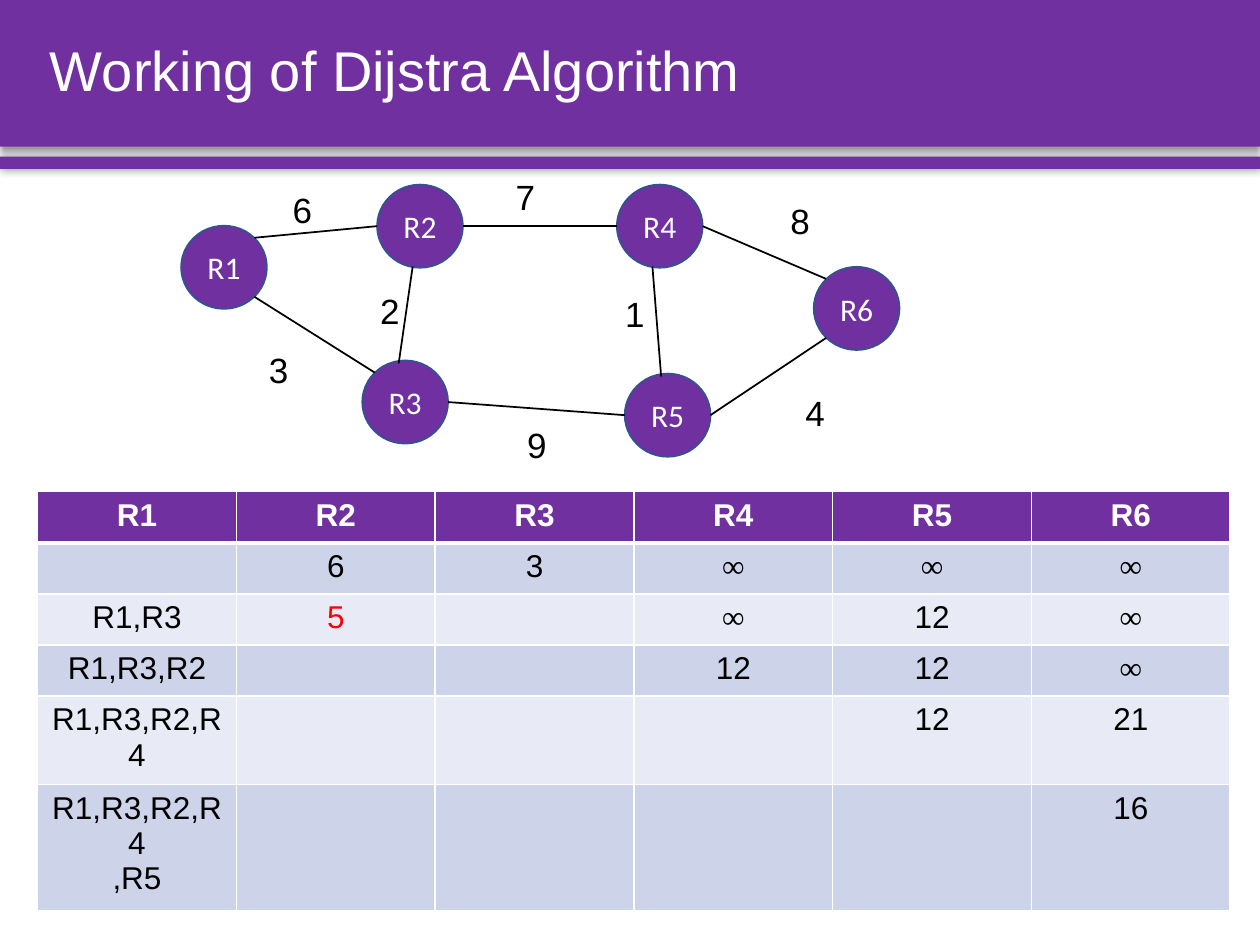
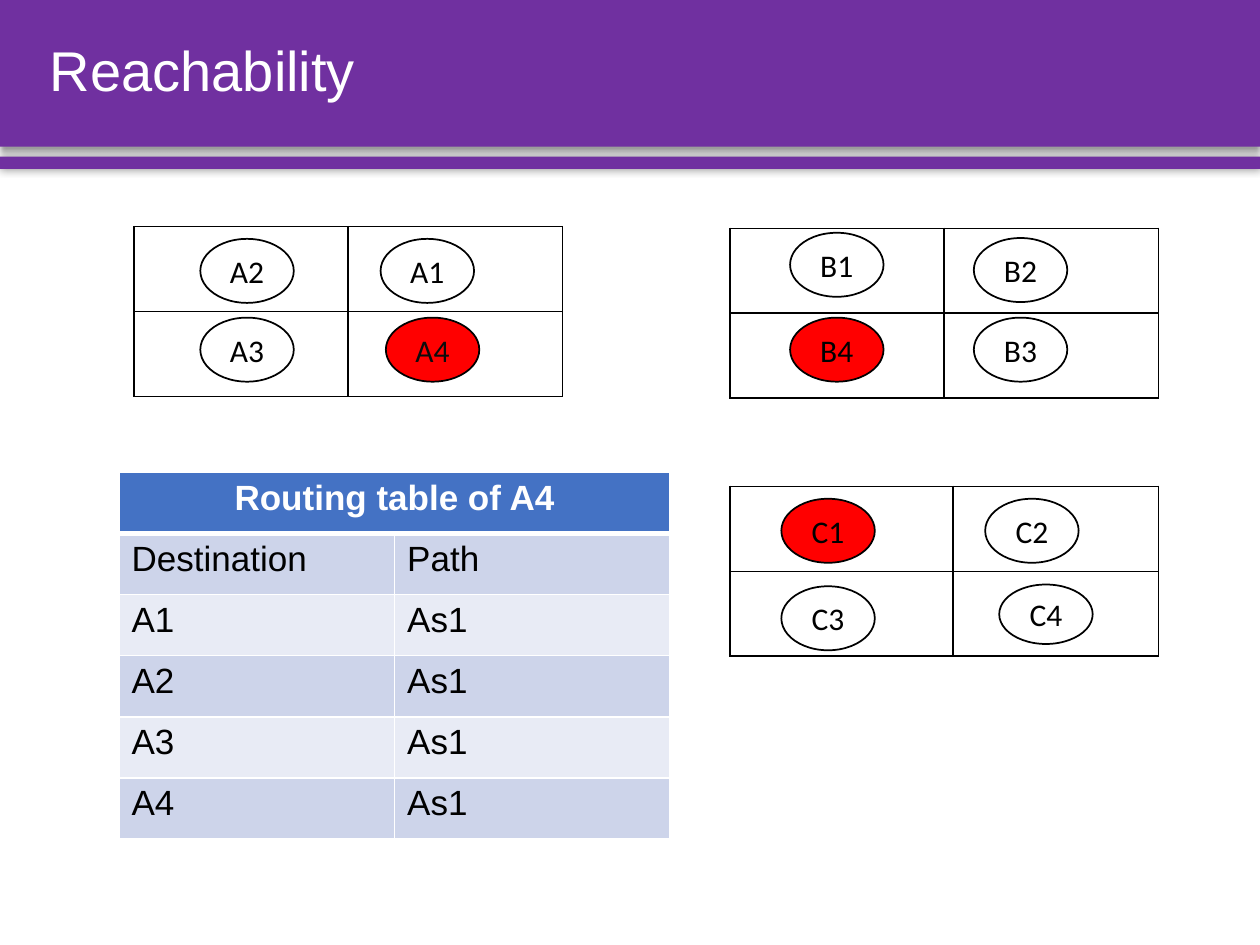
from lxml import etree
from pptx import Presentation
from pptx.dml.color import RGBColor
from pptx.enum.shapes import MSO_CONNECTOR, MSO_SHAPE
from pptx.enum.text import MSO_ANCHOR, PP_ALIGN
from pptx.oxml import parse_xml
from pptx.oxml.ns import nsdecls, qn
from pptx.util import Pt

RECT = MSO_SHAPE.RECTANGLE
CIRCLE = MSO_SHAPE.FLOWCHART_CONNECTOR
STRAIGHT = MSO_CONNECTOR.STRAIGHT
MIDDLE = MSO_ANCHOR.MIDDLE
LEFT, CENTER = PP_ALIGN.LEFT, PP_ALIGN.CENTER

PURPLE, BLUE, NAVY = "7030A0", "4472C4", "31538F"
WHITE, BLACK, RED = "FFFFFF", "000000", "FF0000"
BANDS = ("CDD4EA", "E8EBF5")
SANS, ROUND, SERIF = "Arial", "Calibri", "Times New Roman"

SLIDE_W, SLIDE_H = 720, 540
NODE_W, NODE_H = 49, 47.5
HOST_W, HOST_H = 53.4, 36.6
GRID_W, GRID_ROW = 245, 48.5

WEST, EAST = (-1, 0), (1, 0)
NORTH_EAST, SOUTH_EAST = (0.71, -0.71), (0.71, 0.71)
NORTH_WEST, SOUTH_WEST = (-0.71, -0.71), (-0.71, 0.71)
NORTH, SOUTH = (-0.15, -0.93), (-0.17, 0.97)

ROUTERS = {
    "R1": (103.5, 129), "R2": (215.5, 105.5), "R4": (352.5, 105.5),
    "R6": (465, 152.5), "R3": (207, 206), "R5": (357, 213.5),
}
LINKS = [
    ("R1", NORTH_EAST, "R2", WEST, "6", (152.5, 106)),
    ("R1", SOUTH_EAST, "R3", NORTH_WEST, "3", (139, 197.5)),
    ("R3", EAST, "R5", WEST, "9", (286.5, 240)),
    ("R2", EAST, "R4", WEST, "7", (280, 98.5)),
    ("R4", EAST, "R6", NORTH_WEST, "8", (437, 112.5)),
    ("R5", EAST, "R6", SOUTH_WEST, "4", (445.5, 222)),
    ("R3", NORTH, "R2", SOUTH, "2", (202.5, 163.5)),
    ("R5", NORTH, "R4", SOUTH, "1", (342.5, 165.5)),
]
DISTANCES = [
    ["R1", "R2", "R3", "R4", "R5", "R6"],
    ["", "6", "3", "∞", "∞", "∞"],
    ["R1,R3", "5", "", "∞", "12", "∞"],
    ["R1,R3,R2", "", "", "12", "12", "∞"],
    ["R1,R3,R2,R4", "", "", "", "12", "21"],
    ["R1,R3,R2,R4\n,R5", "", "", "", "", "16"],
]
ROUTES = [["Routing table of A4", ""], ["Destination", "Path"]]
ROUTES += [[f"A{n}", "As1"] for n in range(1, 5)]

AREAS = [
    ((76.5, 129.5), (122.5, 122.5), "A4", {
        "A2": (114.5, 136.5), "A1": (217.5, 136.5),
        "A3": (114.5, 181.5), "A4": (220.5, 181.5)}),
    ((417, 130.5), (122.5, 122.5), "B4", {
        "B1": (451.5, 133), "B2": (556.5, 136),
        "B4": (451.5, 181.5), "B3": (556.5, 181.5)}),
    ((417, 278), (127.5, 117.5), "C1", {
        "C1": (446.5, 285), "C2": (563, 285),
        "C3": (446.5, 335), "C4": (571, 334)}),
]


def rgb(value):
    return RGBColor.from_string(value)


def pts(*values):
    return [Pt(v) for v in values]


def write(tf, text, size, font, color, align=CENTER, bold=False):
    tf.word_wrap = True
    for i, line in enumerate(text.split("\n")):
        p = tf.add_paragraph() if i else tf.paragraphs[0]
        p.alignment = align
        p.font.size = Pt(size)
        if line:
            r = p.add_run()
            r.text = line
            r.font.size = Pt(size)
            r.font.name = font
            r.font.bold = bold
            r.font.color.rgb = rgb(color)


def add_box(s, kind, box, fill=None, line=None):
    sp = s.shapes.add_shape(kind, *pts(*box))
    sp.shadow.inherit = False
    if fill:
        sp.fill.solid()
        sp.fill.fore_color.rgb = rgb(fill)
    else:
        sp.fill.background()
    if line:
        sp.line.color.rgb = rgb(line)
        sp.line.width = Pt(1)
    else:
        sp.line.fill.background()
    return sp


def add_band(s, top, height, blur, distance, angle):
    sp = add_box(s, RECT, (0, top, SLIDE_W, height), PURPLE)
    effects = sp._element.spPr.find(qn("a:effectLst"))
    effects.append(parse_xml(
        f'<a:outerShdw {nsdecls("a")} blurRad="{Pt(blur)}" dist="{Pt(distance)}" '
        f'dir="{angle * 60000}" algn="t" rotWithShape="0"><a:srgbClr val="{BLACK}">'
        '<a:alpha val="40000"/></a:srgbClr></a:outerShdw>'))


def add_text(s, box, text, size, color, align=CENTER):
    tf = s.shapes.add_textbox(*pts(*box)).text_frame
    tf.vertical_anchor = MIDDLE
    write(tf, text, size, SANS, color, align)
    return tf


def add_titled_slide(prs, title):
    s = prs.slides.add_slide(prs.slide_layouts[6])
    add_band(s, 0, 83.75, 4, 3, 90)
    add_band(s, 89.5, 7, 5, 0, 0)
    tf = add_text(s, (21.5, 0, 681, 83.75), title, 32, WHITE, LEFT)
    tf.paragraphs[0].line_spacing = 0.9
    return s


def add_circle(s, box, text, fill, line, color):
    sp = add_box(s, CIRCLE, box, fill, line)
    sp.text_frame.vertical_anchor = MIDDLE
    write(sp.text_frame, text, 18, ROUND, color)


def node_point(name, side):
    x, y = ROUTERS[name]
    return x + NODE_W / 2 * (1 + side[0]), y + NODE_H / 2 * (1 + side[1])


def add_link(s, start, end):
    cxn = s.shapes.add_connector(STRAIGHT, *pts(*start, *end))
    cxn.line.color.rgb = rgb(BLACK)
    cxn.line.width = Pt(1)
    etree.SubElement(cxn._element.spPr, qn("a:effectLst"))


def set_borders(cell, color, bottom=1):
    tcPr = cell._tc.get_or_add_tcPr()
    for side, width in (("L", 1), ("R", 1), ("T", 1), ("B", bottom)):
        tcPr.append(parse_xml(
            f'<a:ln{side} {nsdecls("a")} w="{Pt(width)}"><a:solidFill>'
            f'<a:srgbClr val="{color}"/></a:solidFill></a:ln{side}>'))


def add_plain_table(s, left, top, widths, rows, row_height):
    table = s.shapes.add_table(
        rows, len(widths), *pts(left, top, sum(widths), rows * row_height)).table
    table.first_row = table.horz_banding = False
    for column, width in zip(table.columns, widths):
        column.width = Pt(width)
    for row in table.rows:
        row.height = Pt(row_height)
    return table


def add_banded_table(s, left, top, widths, row_height, rows, size, header, align):
    table = add_plain_table(s, left, top, widths, len(rows), row_height)
    for i, row in enumerate(rows):
        for j, text in enumerate(row):
            cell = table.cell(i, j)
            head = i == 0
            set_borders(cell, WHITE, 3 if head else 1)
            cell.fill.solid()
            cell.fill.fore_color.rgb = rgb(header if head else BANDS[(i - 1) % 2])
            color = WHITE if head else RED if text == "5" else BLACK
            font = SERIF if text == "∞" else SANS
            write(cell.text_frame, text, size, font, color,
                  CENTER if head else align, head)
    return table


def add_area(s, corner, widths, gateway, hosts):
    table = add_plain_table(s, *corner, widths, 2, GRID_ROW)
    for cell in table.iter_cells():
        set_borders(cell, BLACK)
        cell.fill.background()
    for name, (x, y) in hosts.items():
        height = 34 if name == "C4" else HOST_H
        fill = RED if name == gateway else None
        color = "0C0C0C" if name == "A4" else BLACK
        add_circle(s, (x, y, HOST_W, height), name, fill, BLACK, color)


def build_dijkstra(prs):
    s = add_titled_slide(prs, "Working of Dijstra Algorithm")
    add_banded_table(s, 21.5, 281, [113.6] * 6, 29.2, DISTANCES, 18, PURPLE, CENTER)
    for name, (x, y) in ROUTERS.items():
        add_circle(s, (x, y, NODE_W, NODE_H), name, PURPLE, NAVY, WHITE)
    for start, start_side, end, end_side, cost, (x, y) in LINKS:
        add_link(s, node_point(start, start_side), node_point(end, end_side))
        add_text(s, (x, y, 40.5, 27.5), cost, 20, BLACK)


def build_reachability(prs):
    s = add_titled_slide(prs, "Reachability")
    for area in AREAS:
        add_area(s, *area)
    table = add_banded_table(s, 68, 270, [157.5] * 2, 34.9, ROUTES, 20, BLUE, LEFT)
    table.cell(0, 0).merge(table.cell(0, 1))


def main():
    prs = Presentation()
    prs.slide_width, prs.slide_height = pts(SLIDE_W, SLIDE_H)
    build_dijkstra(prs)
    build_reachability(prs)
    prs.save("out.pptx")


if __name__ == "__main__":
    main()
